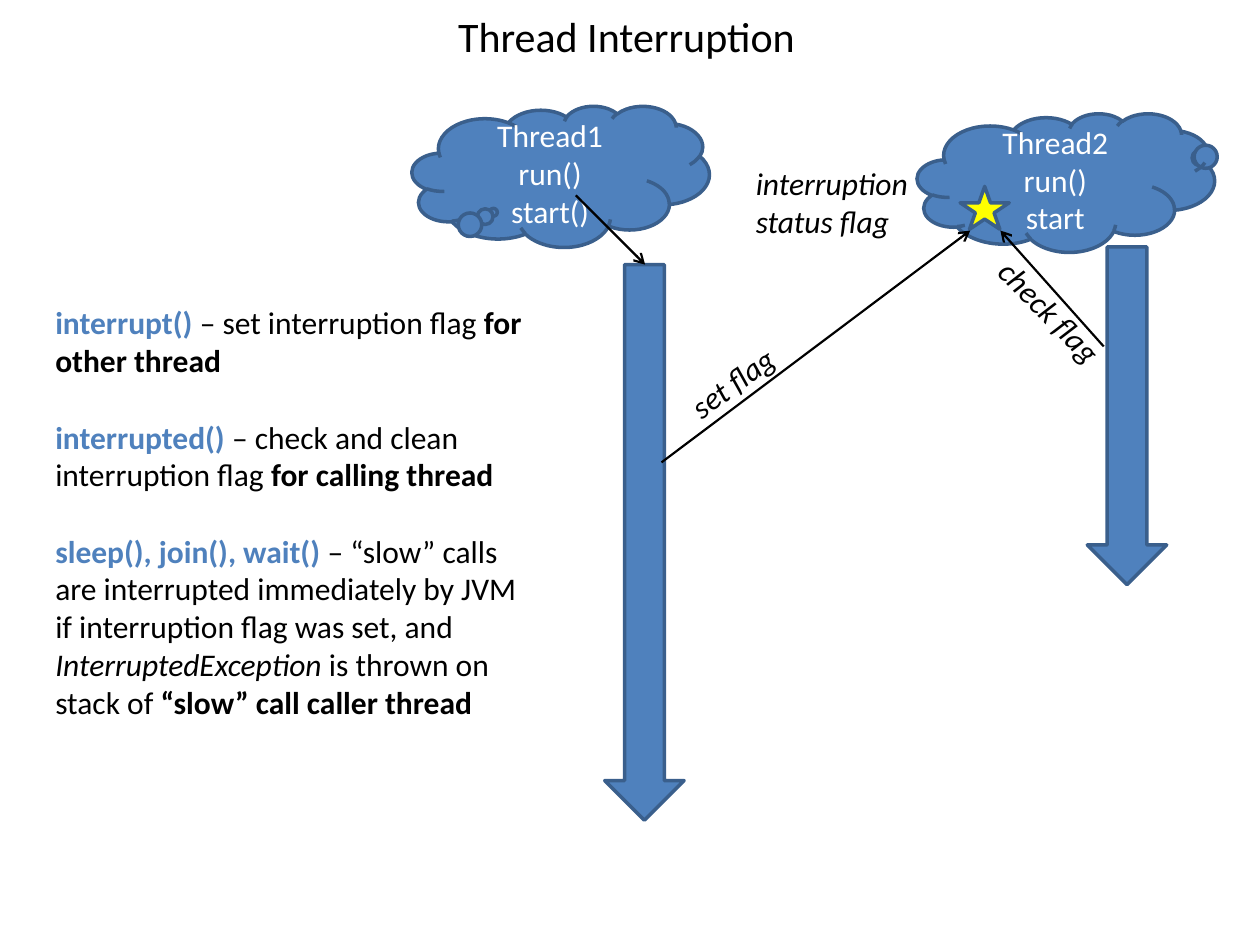
from pptx import Presentation
from pptx import util as u
from pptx.dml.color import RGBColor
from pptx.enum import shapes, text
from pptx.oxml.ns import qn
from lxml import etree

BLUE, EDGE, YELLOW, BLACK, WHITE = "4F81BD", "3A5F8C", "FFFF00", "000000", "FFFFFF"
KIND = shapes.MSO_SHAPE


def rgb(value):
    """Turn a hex string into a colour."""
    return RGBColor.from_string(value)


def add_run(p, words, size=18, color=BLACK, bold=False, italic=False, font="Calibri"):
    """Add a formatted run to a paragraph."""
    r = p.add_run()
    r.text = words
    f = r.font
    f.name, f.size, f.bold, f.italic = font, u.Pt(size), bold, italic
    f.color.rgb = rgb(color)


class Diagram:
    """Holds the current slide and the style of its elements."""

    def __init__(self, s, edge=EDGE, edge_width=2, arrow_width=1.25):
        """Keep the slide and the line styles."""
        self.s, self.edge = s, edge
        self.edge_width, self.arrow_width = edge_width, arrow_width

    def fill_text(self, tf, paragraphs, align, anchor, gap=0):
        """Write paragraphs, each a list of (words, format) runs."""
        tf.word_wrap = True
        tf.vertical_anchor = anchor
        for i, runs in enumerate(paragraphs):
            p = tf.add_paragraph() if i else tf.paragraphs[0]
            p.alignment = align
            p.space_before = u.Pt(gap if i else 0)
            for words, style in runs:
                add_run(p, words, **style)

    def shape(self, kind, box, fill=BLUE, adjust=(), lines=()):
        """Add an outlined preset shape with optional centred lines."""
        sp = self.s.shapes.add_shape(kind, *map(u.Inches, box))
        sp.shadow.inherit = False
        for i, value in enumerate(adjust):
            sp.adjustments[i] = value
        sp.fill.solid()
        sp.fill.fore_color.rgb = rgb(fill)
        sp.line.color.rgb = rgb(self.edge)
        sp.line.width = u.Pt(self.edge_width)
        if lines:
            self.fill_text(sp.text_frame, [[(t, {"color": WHITE})] for t in lines],
                           text.PP_ALIGN.CENTER, text.MSO_ANCHOR.MIDDLE)

    def arrow(self, start, end):
        """Add a thin line with an open arrowhead at its end."""
        c = self.s.shapes.add_connector(shapes.MSO_CONNECTOR.STRAIGHT,
                                        *map(u.Inches, start + end))
        c.line.color.rgb = rgb(BLACK)
        c.line.width = u.Pt(self.arrow_width)
        etree.SubElement(c.line._get_or_add_ln(), qn("a:tailEnd"), type="arrow")
        etree.SubElement(c._element.spPr, qn("a:effectLst"))

    def textbox(self, box, paragraphs, align=text.PP_ALIGN.LEFT,
                anchor=text.MSO_ANCHOR.TOP, gap=0, rotation=0):
        """Add a wrapping text box."""
        sp = self.s.shapes.add_textbox(*map(u.Inches, box))
        sp.rotation = rotation
        self.fill_text(sp.text_frame, paragraphs, align, anchor, gap)

    def label(self, box, *lines, rotation=0):
        """Add an italic label, one paragraph a line."""
        self.textbox(box, [[(t, {"italic": True})] for t in lines], rotation=rotation)


prs = Presentation()
prs.slide_width, prs.slide_height = u.Inches(10), u.Inches(7.5)
d = Diagram(prs.slides.add_slide(prs.slide_layouts[6]))

d.shape(KIND.CLOUD_CALLOUT, (7.28, 0.9, 2.36, 1.1), adjust=(0.456, -0.181),
        lines=("Thread2", "run()", "start"))
for left, top, height in ((4.8, 2.1, 4.41), (8.63, 1.96, 2.68)):
    d.shape(KIND.DOWN_ARROW, (left, top, 0.63, height))
d.shape(KIND.STAR_5_POINT, (7.62, 1.48, 0.39, 0.34), fill=YELLOW)
d.shape(KIND.CLOUD_CALLOUT, (3.27, 0.84, 2.36, 1.12), adjust=(-0.226, 0.254),
        lines=("Thread1", "run()", "start()"))

for start, end in (((4.57, 1.55), (5.12, 2.1)),
                   ((5.25, 3.67), (7.7, 1.83)),
                   ((8.76, 2.75), (7.94, 1.83))):
    d.arrow(start, end)

d.textbox((0.51, 0.05, 9, 0.46), [[("Thread Interruption ", {"size": 24})]],
          align=text.PP_ALIGN.CENTER, anchor=text.MSO_ANCHOR.MIDDLE)

method = {"color": BLUE, "bold": True}
strong = {"bold": True}
d.textbox((0.34, 2.36, 3.98, 3.43), [
    [("interrupt() ", method), ("– set interruption flag ", {}),
     ("for other thread", strong)],
    [("interrupted() ", method), ("– check and clean interruption flag ", {}),
     ("for calling thread", strong)],
    [("sleep(), join(), wait() ", method),
     ("– “slow” calls are interrupted immediately by JVM "
      "if interruption flag was set, and ", {}),
     ("InterruptedException", {"italic": True}),
     (" is thrown on stack of ", {}),
     ("“slow” call caller thread", strong)],
], gap=22)

d.label((5.9, 1.25, 2.13, 0.71), "interruption", "status flag")
d.label((5.31, 2.74, 1.26, 0.4), "set flag", rotation=323.8)
d.label((7.72, 2.29, 1.26, 0.4), "check flag", rotation=45.5)

prs.save("out.pptx")
